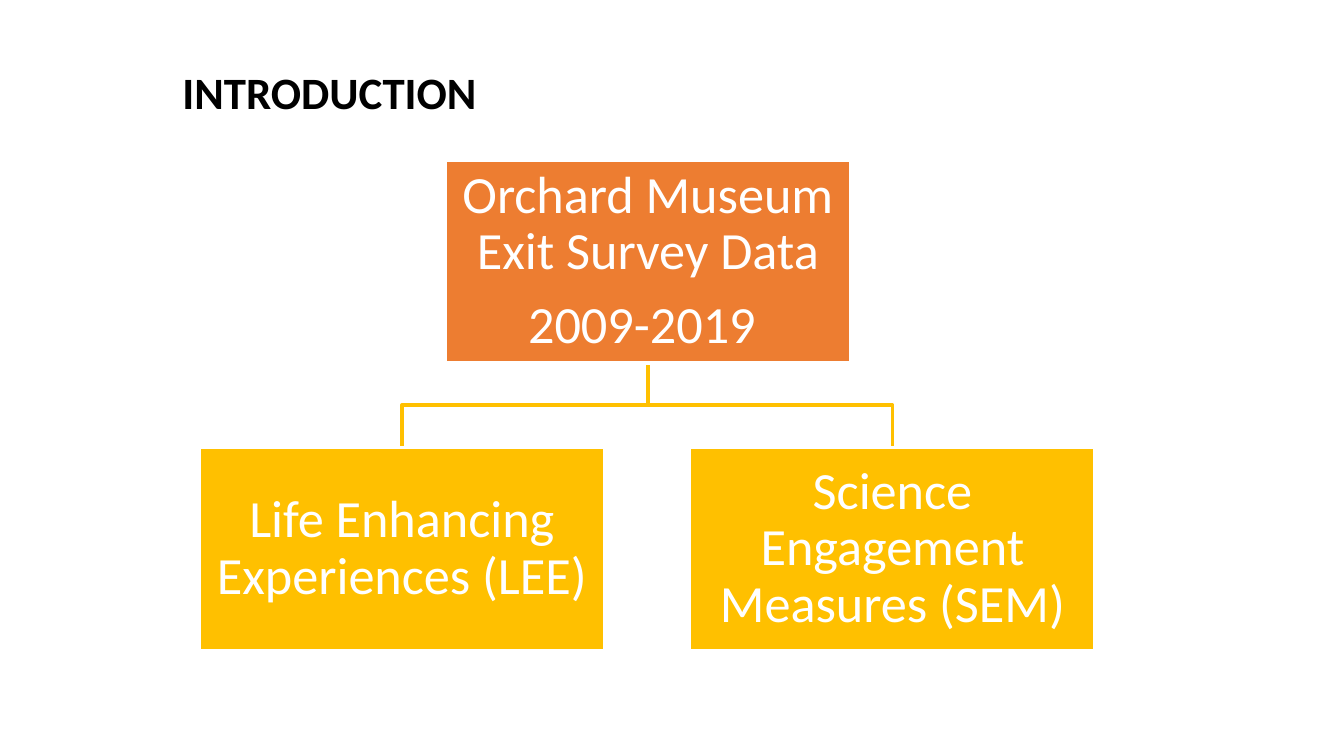
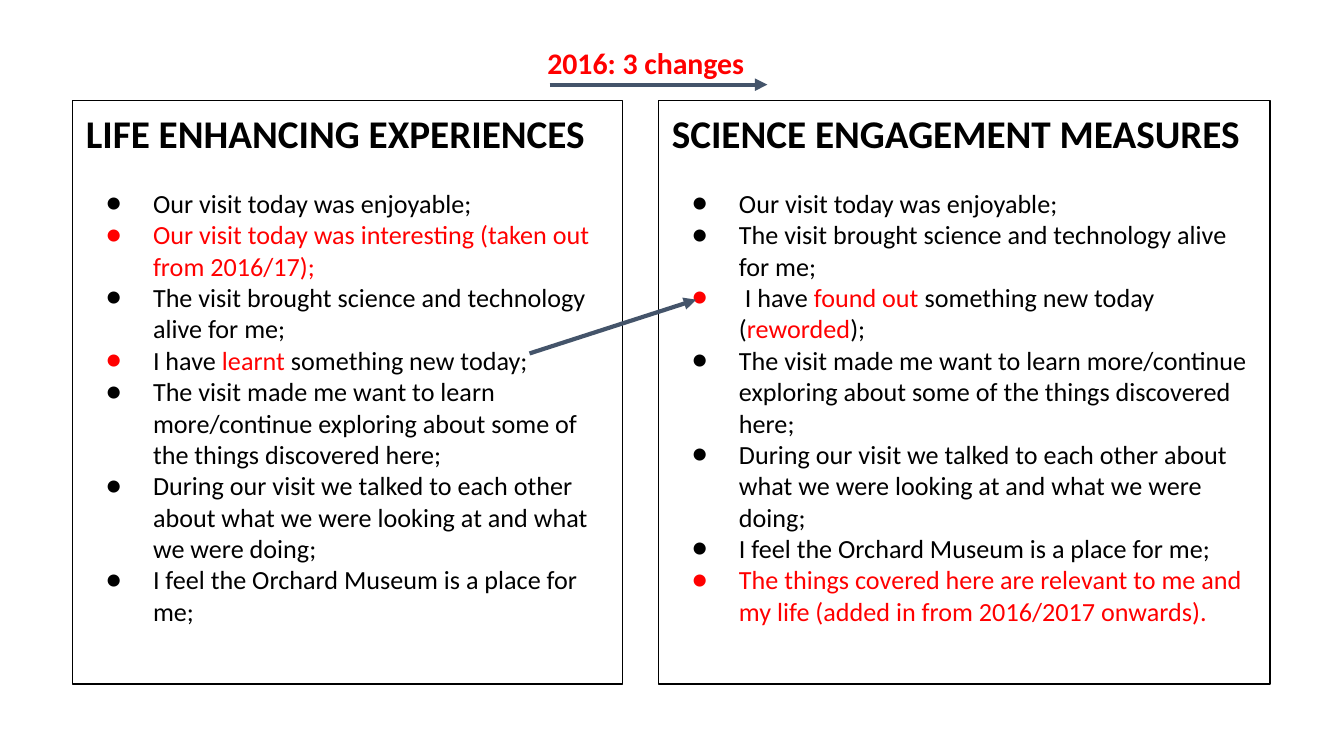
"""Build two slides on exit survey measures."""
from lxml import etree
from pptx import Presentation
from pptx.dml.color import RGBColor
from pptx.enum.shapes import MSO_CONNECTOR, MSO_SHAPE
from pptx.enum.text import MSO_ANCHOR, PP_ALIGN
from pptx.oxml.ns import qn
from pptx.util import Inches, Pt

RECT = MSO_SHAPE.RECTANGLE
STRAIGHT = MSO_CONNECTOR.STRAIGHT
TOP, MIDDLE = MSO_ANCHOR.TOP, MSO_ANCHOR.MIDDLE
LEFT, CENTER = PP_ALIGN.LEFT, PP_ALIGN.CENTER

THEME = {
    "font": "Calibri",
    "black": "000000", "white": "FFFFFF", "red": "FF0000",
    "orange": "ED7D31", "gold": "FFC000", "slate": "44546A",
    "title": 24, "node": 28, "head": 21, "body": 14, "note": 16,
    "edge": 2, "frame": 0.75, "arrow": 2.25,
}

TITLE = "INTRODUCTION"
ROOT = ["Orchard Museum Exit Survey Data", "2009-2019 "]
LEAVES = ["Life Enhancing Experiences (LEE)", "Science Engagement Measures (SEM)"]

NOTE = "2016: 3 changes"
JOY = "Our visit today was enjoyable;"
ALIVE = "The visit brought science and technology alive for me;"
SHARED = [
    "The visit made me want to learn more/continue exploring about some of "
    "the things discovered here;",
    "During our visit we talked to each other about what we were looking at "
    "and what we were doing;",
    "I feel the Orchard Museum is a place for me;",
]
PANELS = [
    (0.54, 4.09, "LIFE ENHANCING EXPERIENCES", [
        JOY,
        "|Our visit today was interesting (taken out from 2016/17);",
        ALIVE,
        "I have |learnt| something new today;",
        *SHARED]),
    (4.9, 4.55, "SCIENCE ENGAGEMENT MEASURES ", [
        JOY,
        ALIVE,
        " I have| found out| something new today (|reworded|);",
        *SHARED,
        "|The things covered here are relevant to me and my life "
        "(added in from 2016/2017 onwards)."]),
]
ARROWS = [(4.09, 0.63, 5.71, 0.63), (3.94, 2.63, 5.18, 2.23)]

WIDE = 10
HIGH = WIDE * 9 / 16
NODE_W, NODE_H = 3.02, 1.51
ROOT_X, ROOT_Y, LEAF_Y = 3.31, 1.19, 3.33
LEAF_X, LEAF_STEP = 1.48, 3.65
PANEL_Y, PANEL_H = 0.75, 4.34


def color(name):
    return RGBColor.from_string(THEME[name])


def apply(target, values):
    for key, value in values.items():
        setattr(target, key, value)


def stroke(line, name, width):
    line.color.rgb = color(name)
    line.width = Pt(THEME[width])


def frame(shape, pad=0.1, anchor=TOP):
    text = shape.text_frame
    sides = ("left", "right", "top", "bottom")
    apply(text, {"margin_" + side: Inches(pad) for side in sides})
    apply(text, {"word_wrap": True, "vertical_anchor": anchor})
    return text


def write(text, words, size, hue="black", bold=False, **form):
    first = text.paragraphs[0]
    para = text.add_paragraph() if first.runs else first
    apply(para, {"alignment": LEFT, **form})
    for index, part in enumerate(words.split("|")):
        if part:
            run = para.add_run()
            run.text = part
            apply(run.font, {"name": THEME["font"], "size": Pt(THEME[size]),
                             "bold": bold})
            run.font.color.rgb = color("red" if index % 2 else hue)
    return para


def bullet(para, hue):
    props = para._p.get_or_add_pPr()
    props.set("marL", str(Inches(0.5)))
    props.set("indent", str(Inches(-0.35)))
    tint = etree.SubElement(props, qn("a:buClr"))
    etree.SubElement(tint, qn("a:srgbClr"), val=THEME[hue])
    etree.SubElement(props, qn("a:buFont"), typeface=THEME["font"])
    etree.SubElement(props, qn("a:buChar"), char="●")


def label(slide, box, words, size, **form):
    shape = slide.shapes.add_textbox(*map(Inches, box))
    write(frame(shape), words, size, bold=True, **form)


def block(slide, box, line, width, fill=None):
    shape = slide.shapes.add_shape(RECT, *map(Inches, box))
    shape.shadow.inherit = False
    if fill:
        shape.fill.solid()
        shape.fill.fore_color.rgb = color(fill)
    else:
        shape.fill.background()
    stroke(shape.line, line, width)
    return shape


def node(slide, left, top, fill, lines):
    shape = block(slide, (left, top, NODE_W, NODE_H), "white", "edge", fill)
    text = frame(shape, 0.02, MIDDLE)
    for words in lines:
        write(text, words, "node", "white", alignment=CENTER,
              line_spacing=0.9, space_after=Pt(9))


def branch(slide, start, end):
    (x1, y1), (x2, y2) = start, end
    mid = (y1 + y2) / 2
    pen = slide.shapes.build_freeform(Inches(x1), Inches(y1))
    points = [(x1, mid), (x2, mid), (x2, y2)]
    pen.add_line_segments([(Inches(x), Inches(y)) for x, y in points], close=False)
    shape = pen.convert_to_shape()
    shape.shadow.inherit = False
    shape.fill.background()
    stroke(shape.line, "gold", "edge")


def arrow(slide, ends):
    link = slide.shapes.add_connector(STRAIGHT, *map(Inches, ends))
    stroke(link.line, "slate", "arrow")
    props = link._element.spPr
    etree.SubElement(props.find(qn("a:ln")), qn("a:tailEnd"), type="triangle")
    etree.SubElement(props, qn("a:effectLst"))


def panel(slide, left, width, head, items):
    shape = block(slide, (left, PANEL_Y, width, PANEL_H), "black", "frame")
    text = frame(shape)
    write(text, head, "head", bold=True, line_spacing=0.9, space_after=Pt(16.5))
    for item in items:
        bullet(write(text, item, "body"), "red" if "|" in item else "black")


def intro(slide):
    label(slide, (1.26, 0.43, 7.7, 0.72), TITLE, "title", line_spacing=0.9)
    spots = [LEAF_X + LEAF_STEP * index for index in range(len(LEAVES))]
    start = (ROOT_X + NODE_W / 2, ROOT_Y + NODE_H)
    for left in reversed(spots):
        branch(slide, start, (left + NODE_W / 2, LEAF_Y))
    node(slide, ROOT_X, ROOT_Y, "orange", ROOT)
    for left, words in zip(spots, LEAVES):
        node(slide, left, LEAF_Y, "gold", [words])


def changes(slide):
    for entry in PANELS:
        panel(slide, *entry)
    label(slide, (3.82, 0.23, 1.97, 0.25), NOTE, "note", hue="red",
          alignment=CENTER)
    for ends in ARROWS:
        arrow(slide, ends)


deck = Presentation()
apply(deck, {"slide_width": Inches(WIDE), "slide_height": Inches(HIGH)})
for build in (intro, changes):
    build(deck.slides.add_slide(deck.slide_layouts[6]))
deck.save("out.pptx")
